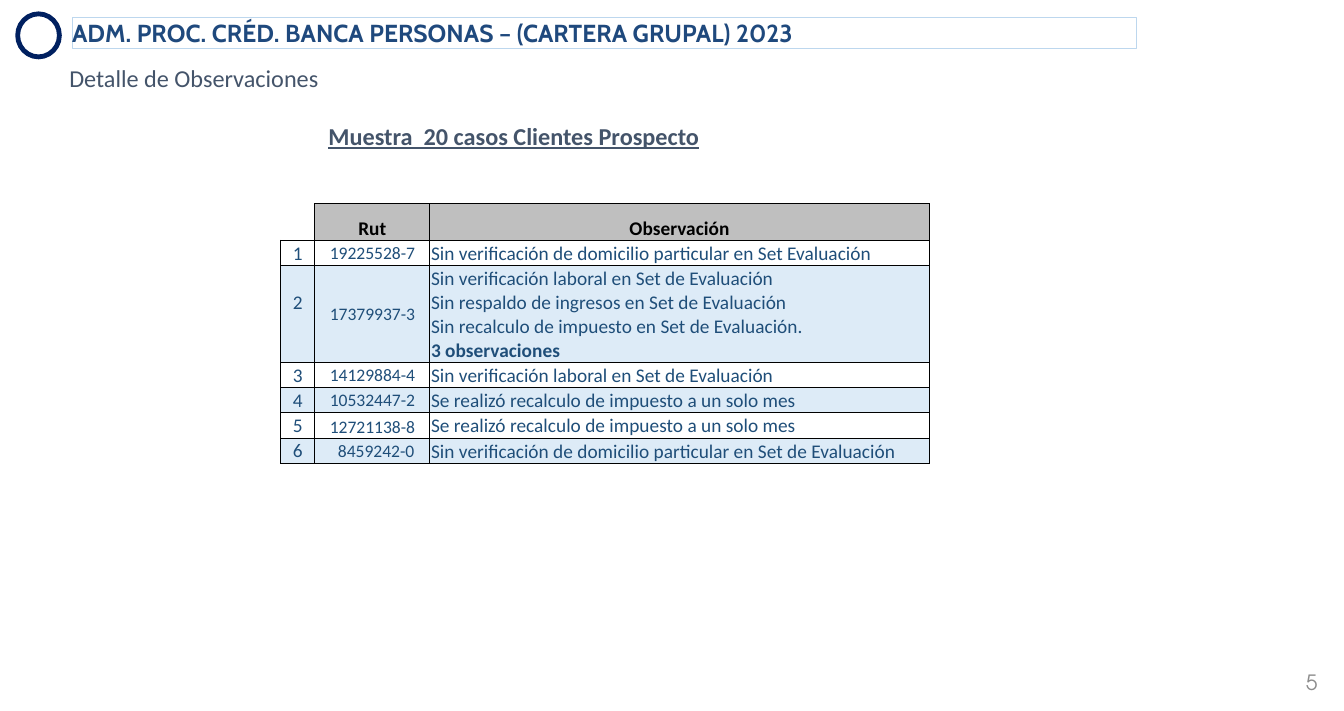
from lxml import etree
from pptx import Presentation
from pptx.dml.color import RGBColor
from pptx.enum.shapes import MSO_SHAPE
from pptx.enum.text import MSO_ANCHOR, PP_ALIGN
from pptx.oxml.ns import qn
from pptx.util import Inches, Pt

OVAL, RECT = MSO_SHAPE.OVAL, MSO_SHAPE.RECTANGLE
TOP, MID, LOW = MSO_ANCHOR.TOP, MSO_ANCHOR.MIDDLE, MSO_ANCHOR.BOTTOM
LEFT, MIDST, RIGHT = PP_ALIGN.LEFT, PP_ALIGN.CENTER, PP_ALIGN.RIGHT
JUST = PP_ALIGN.JUSTIFY

HEX = {"ring": "002060", "frame": "BDD7EE", "title": "1F497D",
       "slate": "44546A", "page": "8C8C8C", "black": "000000",
       "navy": "1F4E79", "head": "BFBFBF", "band": "DDEBF7"}

TITLE = "ADM. PROC. CRÉD. BANCA PERSONAS – (CARTERA GRUPAL) 2023"
TITLE_FONT = {"name": "Cabin", "size": 14, "bold": True, "color": "title"}
SUB_FONT = {"name": "Calibri", "size": 13.8, "color": "slate"}
LABELS = [
    ("Detalle de Observaciones", (0.45, 0.45, 2.4, 0.33), SUB_FONT, LEFT, TOP),
    ("Muestra  20 casos Clientes Prospecto", (2.5, 0.91, 3.56, 0.57),
     SUB_FONT | {"bold": True, "underline": True}, LEFT, TOP),
    ("5", (9.95, 5.24, 0.57, 0.3),
     {"name": "TeX Gyre Adventor", "size": 12, "color": "page"}, RIGHT, MID),
]

HEAD = ["", "Rut", "Observación"]
CASES = [
    ("19225528-7", ["Sin verificación de domicilio particular en Set Evaluación"]),
    ("17379937-3", ["Sin verificación laboral en Set de Evaluación",
                    "Sin respaldo de ingresos en Set de Evaluación",
                    "Sin recalculo de impuesto en Set de Evaluación.",
                    "3 observaciones"]),
    ("14129884-4", ["Sin verificación laboral en Set de Evaluación"]),
    ("10532447-2", ["Se realizó recalculo de impuesto a un solo mes"]),
    ("12721138-8", ["Se realizó recalculo de impuesto a un solo mes"]),
    ("8459242-0", ["Sin verificación de domicilio particular en Set de Evaluación"]),
]
COLS = [0.27, 0.91, 3.95]
ROWS = [0.19, 0.2, 0.74, 0.2, 0.19, 0.2, 0.19]
HEAD_FONT = {"name": "Calibri", "size": 11, "bold": True, "color": "black"}
BODY_FONT = {"name": "Calibri", "size": 11, "bold": False, "color": "navy"}
RUT_FONT = BODY_FONT | {"size": 10}
STYLES = [(BODY_FONT, MIDST, TOP), (RUT_FONT, MIDST, MID), (BODY_FONT, JUST, LOW)]


def rgb(key):
    return RGBColor.from_string(HEX[key])


def write(frame, lines, form, align):
    for i, line in enumerate(lines):
        para = frame.paragraphs[0] if i == 0 else frame.add_paragraph()
        para.alignment = align
        run = para.add_run()
        run.text = line
        for key, value in form.items():
            if key == "color":
                run.font.color.rgb = rgb(value)
            else:
                setattr(run.font, key, Pt(value) if key == "size" else value)


def pad(target, left, top, right, low):
    sides = {"left": left, "top": top, "right": right, "bottom": low}
    for side, value in sides.items():
        setattr(target, "margin_" + side, Inches(value))


def outline(slide, kind, box, color, width):
    shape = slide.shapes.add_shape(kind, *map(Inches, box))
    shape.shadow.inherit = False
    shape.fill.background()
    shape.line.color.rgb = rgb(color)
    shape.line.width = Pt(width)
    return shape


def border(cell, sides):
    """Draw black lines on the given sides (of L, R, T, B), none on the others."""
    props = cell._tc.get_or_add_tcPr()
    for i, side in enumerate("LRTB"):
        line = etree.Element(qn("a:ln" + side), w=str(Pt(0.5)))
        if side in sides:
            fill = etree.SubElement(line, qn("a:solidFill"))
            etree.SubElement(fill, qn("a:srgbClr"), val=HEX["black"])
        else:
            etree.SubElement(line, qn("a:noFill"))
        props.insert(i, line)


def fill_cell(cell, lines, style, color, sides):
    form, align, anchor = style
    if color:
        cell.fill.solid()
        cell.fill.fore_color.rgb = rgb(color)
    else:
        cell.fill.background()
    pad(cell, 0.01, 0.01, 0.01, 0)
    cell.vertical_anchor = anchor
    write(cell.text_frame, lines, form, align)
    border(cell, sides)


def add_cases(slide):
    box = map(Inches, (2.22, 1.61, sum(COLS), sum(ROWS)))
    table = slide.shapes.add_table(len(ROWS), len(COLS), *box).table
    for col, width in zip(table.columns, COLS):
        col.width = Inches(width)
    for row, height in zip(table.rows, ROWS):
        row.height = Inches(height)
    for c, name in enumerate(HEAD):
        fill_cell(table.cell(0, c), [name], (HEAD_FONT, MIDST, LOW),
                  "head" if name else None, "LRTB" if name else "RB")
    for r, (rut, notes) in enumerate(CASES, 1):
        color = "band" if r % 2 == 0 else None
        for c, lines in enumerate([[str(r)], [rut], notes]):
            fill_cell(table.cell(r, c), lines, STYLES[c], color, "LRTB")
    table.cell(2, 0).margin_top = Inches(0.2)
    table.cell(2, 2).text_frame.paragraphs[-1].runs[0].font.bold = True
    table.cell(5, 1).vertical_anchor = LOW
    table.cell(6, 1).margin_left = Inches(0.07)


def main():
    deck = Presentation()
    deck.slide_width, deck.slide_height = Inches(10.63), Inches(5.62)
    slide = deck.slides.add_slide(deck.slide_layouts[6])
    outline(slide, OVAL, (0.14, 0.11, 0.33, 0.34), "ring", 2.75)
    frame = outline(slide, RECT, (0.57, 0.14, 8.42, 0.24), "frame", 0.5).text_frame
    pad(frame, 0, 0, 0, 0)
    frame.vertical_anchor = TOP
    write(frame, [TITLE], TITLE_FONT, LEFT)
    add_cases(slide)
    for text, box, form, align, anchor in LABELS:
        frame = slide.shapes.add_textbox(*map(Inches, box)).text_frame
        frame.word_wrap = True
        frame.vertical_anchor = anchor
        write(frame, [text], form, align)
    deck.save("out.pptx")


if __name__ == "__main__":
    main()
